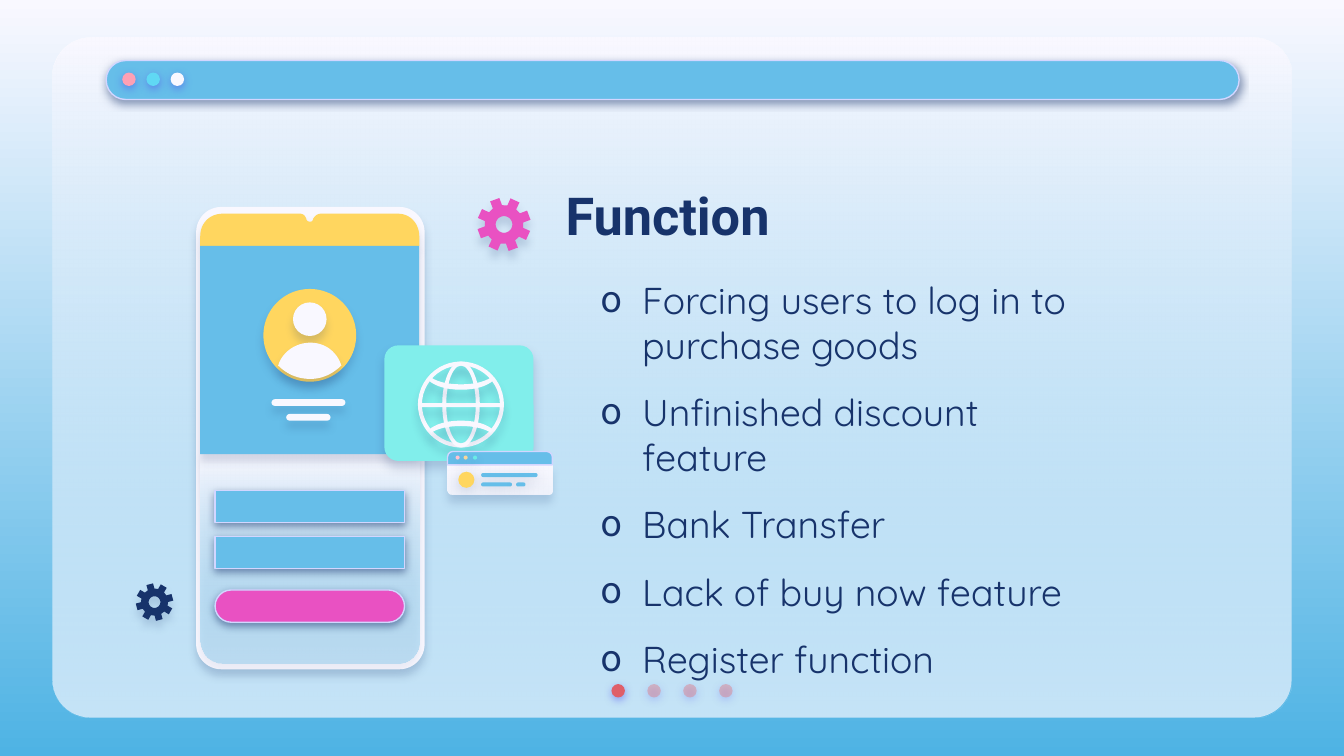
import math

import pptx
import pptx.dml.color
import pptx.enum.shapes
import pptx.enum.text
import pptx.oxml.ns
import pptx.util
from lxml import etree

Inches = pptx.util.Inches
Pt = pptx.util.Pt
qn = pptx.oxml.ns.qn
SHAPE = pptx.enum.shapes.MSO_SHAPE

NAVY, BLUE, PALE, LILAC = "17336B", "66BEE9", "F9F8FF", "D2D6FF"
YELLOW, PINK = "FFD65F", "E951C2"
FADE = (PALE, BLUE, 35)

# Shadows: colour, opacity in percent, blur and distance in points
DOT_SHADOW = ("5352EE", 50, 4.5, 1.5)
FIELD_SHADOW = (NAVY, 50, 4.5, 1.5)
PHONE_SHADOW = (NAVY, 16, 4.5, 3.8)
CARD_SHADOW = (NAVY, 18, 5.6, 3.8)
ICON_SHADOW = (NAVY, 16, 4.5, 4.5)
BUTTON_SHADOW = (NAVY, 17, 4.5, 2.2)
LINE_SHADOW = (NAVY, 18, 6.8, 1.5)


def rgb(color):
    return pptx.dml.color.RGBColor.from_string(color)


def set_alpha(color_element, percent):
    etree.SubElement(color_element, qn("a:alpha"), val=str(percent * 1000))


def flatten(contour):
    """Turn points and (control, control, end) curves into plain points."""
    points = []
    for step in contour:
        if len(step) == 2:
            points.append(step)
            continue
        nodes = [points[-1], step[:2], step[2:4], step[4:]]
        for index in range(1, 13):
            t = index / 12
            weights = ((1 - t) ** 3, 3 * t * (1 - t) ** 2, 3 * t * t * (1 - t), t ** 3)
            points.append(tuple(sum(w * node[axis] for w, node in zip(weights, nodes))
                                for axis in (0, 1)))
    return points


def polar(center, radius, degrees):
    angle = math.radians(degrees)
    return center[0] + radius * math.cos(angle), center[1] + radius * math.sin(angle)


class SlideBuilder:
    def __init__(self, presentation):
        self.slide = presentation.slides.add_slide(presentation.slide_layouts[6])

    def paint(self, fill, colors):
        """Apply one colour, or a downward (top, bottom, ...) gradient."""
        if isinstance(colors, str):
            fill.solid()
            fill.fore_color.rgb = rgb(colors)
            return
        fill.gradient()
        fill.gradient_angle = 270
        for stop, color in zip(fill.gradient_stops, colors):
            stop.color.rgb = rgb(color)

    def style(self, shape, fill, shadow=None, line=None, alpha=None):
        self.paint(shape.fill, fill)
        if not isinstance(fill, str):
            alpha = fill[2]
        if alpha:
            set_alpha(list(shape.element.spPr.iter(qn("a:srgbClr")))[-1], alpha)
        if line:
            shape.line.color.rgb = rgb(line)
            shape.line.width = Pt(0.75)
        else:
            shape.line.fill.background()
        shape.shadow.inherit = False
        if shadow:
            color, opacity, blur, distance = shadow
            effects = shape.element.spPr.find(qn("a:effectLst"))
            outer = etree.SubElement(effects, qn("a:outerShdw"), blurRad=str(Pt(blur)),
                                     dist=str(Pt(distance)), dir="5400000",
                                     algn="bl", rotWithShape="0")
            set_alpha(etree.SubElement(outer, qn("a:srgbClr"), val=color), opacity)

    def preset(self, kind, box, fill, shadow=None, line=None, adjust=(), alpha=None):
        shape = self.slide.shapes.add_shape(kind, *map(Inches, box))
        for index, value in enumerate(adjust):
            shape.adjustments[index] = value
        self.style(shape, fill, shadow, line, alpha)

    def rounded(self, box, fill, shadow=None, line=None, corner=0.5):
        self.preset(SHAPE.ROUNDED_RECTANGLE, box, fill, shadow, line, [corner])

    def circle(self, left, top, size, fill, shadow, alpha=None):
        self.preset(SHAPE.OVAL, (left, top, size, size), fill, shadow, alpha=alpha)

    def ring(self, box, thickness, fill, shadow):
        self.preset(SHAPE.DONUT, box, fill, shadow, adjust=[thickness / min(box[2:])])

    def outline(self, contours, fill, shadow):
        builder = None
        for contour in contours:
            points = [(Inches(x), Inches(y)) for x, y in flatten(contour)]
            if builder is None:
                builder = self.slide.shapes.build_freeform(*points[0])
            else:
                builder.move_to(*points[0])
            builder.add_line_segments(points[1:], close=True)
        self.style(builder.convert_to_shape(), fill, shadow)

    def gear(self, center, radius, turn, fill, shadow):
        """Draw eight teeth around a hole, the first tooth at the turn angle."""
        teeth = [polar(center, radius * scale, turn + 45 * tooth + offset)
                 for tooth in range(8)
                 for scale, offset in ((0.72, -14.5), (1, -10.5), (1, 10.5), (0.72, 14.5))]
        hole = [polar(center, radius * 0.31, -angle) for angle in range(0, 360, 10)]
        self.outline([teeth, hole], fill, shadow)

    def text(self, box, lines, font, size, bold=False, bullet=None):
        frame = self.slide.shapes.add_textbox(*map(Inches, box)).text_frame
        frame.word_wrap = True
        frame.vertical_anchor = pptx.enum.text.MSO_ANCHOR.MIDDLE
        frame.margin_left = frame.margin_right = Inches(0.1)
        frame.margin_top = frame.margin_bottom = Inches(0.1)
        frame.text = "\n".join(lines)
        for paragraph in frame.paragraphs:
            if bullet:
                self.add_bullet(paragraph, bullet)
            for run in paragraph.runs:
                run.font.name, run.font.size, run.font.bold = font, Pt(size), bold
                run.font.color.rgb = rgb(NAVY)

    def add_bullet(self, paragraph, bullet):
        properties = paragraph._p.get_or_add_pPr()
        properties.set("marL", str(Inches(0.31)))
        properties.set("indent", str(-Inches(0.31)))
        color = etree.SubElement(properties, qn("a:buClr"))
        etree.SubElement(color, qn("a:srgbClr"), val=NAVY)
        etree.SubElement(properties, qn("a:buFont"), typeface="Roboto")
        etree.SubElement(properties, qn("a:buChar"), char=bullet)
        paragraph.space_after = Pt(12)


def draw_frame(builder):
    builder.paint(builder.slide.background.fill, (PALE, "4EB3E4"))
    for fill in (PALE, FADE):
        builder.rounded((0.39, 0.28, 9.22, 5.06), fill, corner=0.056)
    builder.circle(4.55, 5.09, 0.1, "DF5F69", DOT_SHADOW)
    for index in range(1, 4):
        builder.circle(4.55 + 0.267 * index, 5.09, 0.1, "E27B83", DOT_SHADOW, alpha=44)
    builder.rounded((0.79, 0.45, 8.43, 0.29), BLUE, FIELD_SHADOW, LILAC)
    for index, fill in enumerate(("FDA0B4", "60D8F4", PALE)):
        builder.circle(0.91 + 0.18 * index, 0.54, 0.1, fill, DOT_SHADOW)


def draw_phone(builder):
    builder.rounded((1.46, 1.54, 1.7, 3.44), PALE, PHONE_SHADOW, corner=0.11)
    builder.preset(SHAPE.ROUND_2_SAME_RECTANGLE, (1.49, 3.38, 1.63, 1.56), FADE,
                   PHONE_SHADOW, adjust=[0, 0.11])
    notched_bar = [(1.66, 1.59), (1.56, 1.59, 1.49, 1.66, 1.49, 1.76), (1.49, 1.83),
                   (3.12, 1.83), (3.12, 1.76), (3.12, 1.66, 3.05, 1.59, 2.96, 1.59),
                   (2.39, 1.59), (2.36, 1.59, 2.34, 1.61, 2.33, 1.63),
                   (2.33, 1.64, 2.32, 1.65, 2.31, 1.65),
                   (2.29, 1.65, 2.28, 1.64, 2.28, 1.63),
                   (2.27, 1.6, 2.25, 1.59, 2.23, 1.59)]
    builder.outline([notched_bar], YELLOW, PHONE_SHADOW)
    builder.preset(SHAPE.RECTANGLE, (1.49, 1.83, 1.63, 1.55), BLUE, PHONE_SHADOW)
    builder.circle(1.96, 2.15, 0.69, YELLOW, PHONE_SHADOW)
    builder.circle(2.18, 2.25, 0.25, PALE, PHONE_SHADOW)
    shoulders = [(2.31, 2.55), (2.2, 2.55, 2.1, 2.62, 2.07, 2.72),
                 (2.13, 2.78, 2.21, 2.82, 2.31, 2.82),
                 (2.4, 2.82, 2.48, 2.78, 2.54, 2.72), (2.51, 2.62, 2.42, 2.55, 2.31, 2.55)]
    builder.outline([shoulders], PALE, PHONE_SHADOW)
    for box in ((2.02, 2.97, 0.55, 0.05), (2.13, 3.08, 0.33, 0.05)):
        builder.rounded(box, PALE, PHONE_SHADOW)
    for top, fill, corner in ((3.65, BLUE, 0), (3.99, BLUE, 0), (4.39, PINK, 0.5)):
        builder.rounded((1.6, top, 1.41, 0.24), fill, FIELD_SHADOW, LILAC, corner)


def draw_globe_card(builder):
    builder.rounded((2.86, 2.57, 1.11, 0.86), "81EEEB", CARD_SHADOW, corner=0.12)
    for box in ((3.11, 2.69, 0.64, 0.64), (3.29, 2.69, 0.28, 0.64)):
        builder.ring(box, 0.03, PALE, ICON_SHADOW)
    builder.preset(SHAPE.RECTANGLE, (3.13, 3, 0.61, 0.03), PALE, ICON_SHADOW)
    for edge, sign in ((2.81, 1), (3.22, -1)):
        low, mid, deep = (edge + sign * offset for offset in (0.02, 0.05, 0.09))
        parallel = [(3.21, edge), (3.19, low), (3.19, low, 3.25, deep, 3.43, deep),
                    (3.61, deep, 3.67, low, 3.67, low), (3.65, edge),
                    (3.65, edge, 3.59, mid, 3.43, mid), (3.27, mid, 3.21, edge, 3.21, edge)]
        builder.outline([parallel], PALE, ICON_SHADOW)


def draw_small_window(builder):
    half_rounded = SHAPE.ROUND_2_SAME_RECTANGLE
    builder.preset(half_rounded, (3.33, 3.45, 0.78, 0.23), (PALE, PALE, 87), ICON_SHADOW,
                   adjust=[0, 0.17])
    builder.preset(half_rounded, (3.33, 3.36, 0.78, 0.1), BLUE, line=LILAC, adjust=[0.4, 0])
    for left, fill in ((3.39, "FFC3D0"), (3.45, "F5D79B"), (3.52, "6AEBE7")):
        builder.circle(left, 3.39, 0.03, fill, BUTTON_SHADOW)
    builder.circle(3.41, 3.51, 0.12, YELLOW, LINE_SHADOW)
    for left, top, width in ((3.58, 3.52, 0.42), (3.58, 3.59, 0.23), (3.84, 3.59, 0.07)):
        builder.rounded((left, top, width, 0.03), BLUE, LINE_SHADOW)


def main():
    presentation = pptx.Presentation()
    presentation.slide_width = Inches(10)
    presentation.slide_height = presentation.slide_width * 9 // 16
    builder = SlideBuilder(presentation)
    draw_frame(builder)
    builder.text((4.11, 1.2, 3.07, 0.79), ["Function"], "Roboto", 28, bold=True)
    builder.text((4.37, 2.15, 3.99, 2.83),
                 ["Forcing users to log in to purchase goods", "Unfinished discount feature",
                  "Bank Transfer", "Lack of buy now feature", "Register function"],
                 "Quicksand", 20, bullet="o")
    draw_phone(builder)
    draw_globe_card(builder)
    draw_small_window(builder)
    builder.gear((3.75, 1.67), 0.2, -110.5, PINK, ICON_SHADOW)
    builder.gear((1.15, 4.48), 0.14, -105, NAVY, PHONE_SHADOW)
    presentation.save("out.pptx")


if __name__ == "__main__":
    main()
